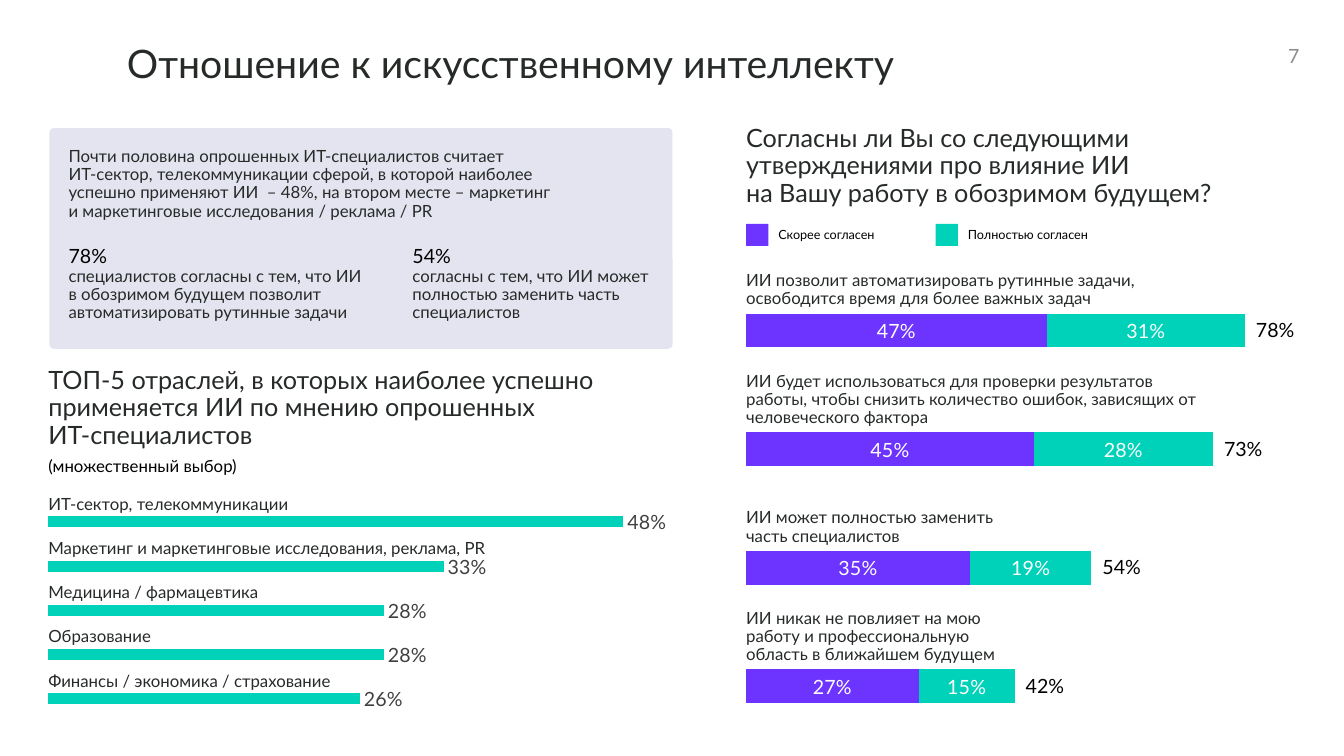
import lxml.etree
import pptx
import pptx.chart.data
import pptx.dml.color
import pptx.enum.chart
import pptx.enum.shapes
import pptx.enum.text
import pptx.oxml
import pptx.oxml.ns
import pptx.util
from dataclasses import dataclass

Inches = pptx.util.Inches
Kind = pptx.enum.chart.XL_CHART_TYPE
Place = pptx.enum.chart.XL_LABEL_POSITION
Form = pptx.enum.shapes.MSO_SHAPE
Align = pptx.enum.text.PP_ALIGN
Anchor = pptx.enum.text.MSO_ANCHOR
qn = pptx.oxml.ns.qn


@dataclass(frozen=True)
class Theme:
    font: str = "Lato"
    ink: str = "262B28"
    black: str = "000000"
    white: str = "FFFFFF"
    gray: str = "8C8C8C"
    dark: str = "404040"
    purple: str = "6D33FF"
    teal: str = "00D2B9"
    panel: str = "CACAE5"
    title: int = 28
    head: int = 18
    value: int = 14
    body: int = 12
    key: int = 9


def put(item, **values):
    for name, value in values.items():
        setattr(item, name, value)


def color(code):
    return pptx.dml.color.RGBColor.from_string(code)


class Page:
    def __init__(self, slide, theme):
        self.slide = slide
        self.theme = theme

    def style(self, font, size, code):
        put(font, name=self.theme.font, size=pptx.util.Pt(size))
        font.color.rgb = color(code)

    def text(self, words, box, size=None, code=None, align=Align.LEFT,
             anchor=Anchor.TOP, space=0.9):
        frame = self.slide.shapes.add_textbox(*map(Inches, box)).text_frame
        put(frame, word_wrap=True, vertical_anchor=anchor, margin_left=0,
            margin_right=0, margin_top=0, margin_bottom=0)
        para = frame.paragraphs[0]
        put(para, text=words, alignment=align, line_spacing=space)
        for run in para.runs:
            self.style(run.font, size or self.theme.body, code or self.theme.ink)

    def block(self, form, box, code, alpha=None, round=None):
        """Add a filled shape; alpha is its opacity in percent."""
        shape = self.slide.shapes.add_shape(form, *map(Inches, box))
        shape.shadow.inherit = False
        shape.fill.solid()
        shape.fill.fore_color.rgb = color(code)
        shape.line.fill.background()
        if round:
            shape.adjustments[0] = round
        if alpha:
            tint = shape.fill._xPr.find(".//" + qn("a:srgbClr"))
            lxml.etree.SubElement(tint, qn("a:alpha")).set("val", str(alpha * 1000))

    def bars(self, kind, box, rows, codes, top, gap, place, label):
        """Add a bar chart without axes; rows run from the top down."""
        data = pptx.chart.data.CategoryChartData(number_format="0%")
        data.categories = [str(n + 1) for n in range(len(rows))]
        for n, column in enumerate(zip(*reversed(rows))):
            data.add_series(f"Series {n + 1}", column)
        chart = self.slide.shapes.add_chart(kind, *map(Inches, box), data).chart
        put(chart, has_title=False, has_legend=False)
        self.style(chart.font, self.theme.value, label)
        put(chart.category_axis, visible=False, has_major_gridlines=False)
        put(chart.value_axis, visible=False, has_major_gridlines=False,
            minimum_scale=0, maximum_scale=top)
        plot = chart.plots[0]
        put(plot, gap_width=gap, vary_by_categories=False)
        for series, code in zip(plot.series, codes):
            series.format.fill.solid()
            series.format.fill.fore_color.rgb = color(code)
            marks = series.data_labels
            put(marks, show_value=True, position=place, number_format="0%",
                number_format_is_linked=False)
            self.style(marks.font, self.theme.value, label)
        self.fill_frame(chart)

    def fill_frame(self, chart):
        """Stretch the plot over the whole chart frame."""
        area = chart._chartSpace.find(".//" + qn("c:plotArea"))
        for old in area.findall(qn("c:layout")):
            area.remove(old)
        parts = [("layoutTarget", "inner"), ("xMode", "edge"), ("yMode", "edge"),
                 ("x", 0), ("y", 0), ("w", 1), ("h", 1)]
        layout = lxml.etree.Element(qn("c:layout"))
        manual = lxml.etree.SubElement(layout, qn("c:manualLayout"))
        for name, value in parts:
            lxml.etree.SubElement(manual, qn("c:" + name)).set("val", str(value))
        area.insert(0, layout)


def draw_facts(page, theme):
    page.block(Form.ROUNDED_RECTANGLE, (0.49, 1.27, 6.18, 2.19), theme.panel, 50, 0.02)
    page.text("Почти половина опрошенных ИТ-специалистов считает \n"
              "ИТ-сектор, телекоммуникации сферой, в которой наиболее \n"
              "успешно применяют ИИ  – 48%, на втором месте – маркетинг \n"
              "и маркетинговые исследования / реклама / PR", (0.68, 1.47, 5.74, 0.72))
    facts = [
        (0.68, 3.03, "78%", "специалистов согласны с тем, что ИИ в обозримом будущем "
                            "позволит автоматизировать рутинные задачи"),
        (4.09, 2.45, "54%", "согласны с тем, что ИИ может полностью заменить часть "
                            "специалистов"),
    ]
    for left, width, share, words in facts:
        page.text(share, (left, 2.45, 0.58, 0.21), theme.value, theme.black)
        page.text(words, (left, 2.66, width, 0.54))


def draw_fields(page, theme):
    page.text("ТОП-5 отраслей, в которых наиболее успешно применяется ИИ "
              "по мнению опрошенных \nИТ-специалистов", (0.48, 3.65, 6.31, 0.81), theme.head)
    page.text("(множественный выбор)", (0.48, 4.54, 2.86, 0.18), code=theme.black)
    fields = [
        ("ИТ-сектор, телекоммуникации", 0.48),
        ("Маркетинг и маркетинговые исследования, реклама, PR", 0.33),
        ("Медицина / фармацевтика", 0.28),
        ("Образование", 0.28),
        ("Финансы / экономика / страхование", 0.26),
    ]
    left, top, width, height = box = (0.48, 4.96, 7.13, 2.19)
    page.bars(Kind.BAR_CLUSTERED, box, [(share,) for _, share in fields],
              [theme.teal], 0.6, 300, Place.OUTSIDE_END, theme.dark)
    step = height / len(fields)
    for n, (name, _) in enumerate(fields):
        page.text(name, (left, top - 0.04 + n * step, 4.74, 0.18))


def draw_views(page, theme):
    left, top, width, height = box = (7.4, 2.69, 5.71, 4.71)
    page.text("Согласны ли Вы со следующими утверждениями про влияние ИИ \n"
              "на Вашу работу в обозримом будущем?", (left, 1.25, 5.49, 0.81), theme.head)
    codes = [theme.purple, theme.teal]
    for n, name in enumerate(["Скорее согласен", "Полностью согласен"]):
        start = left + n * 1.88
        page.block(Form.RECTANGLE, (start, 2.22, 0.22, 0.22), codes[n])
        page.text(name, (start + 0.32, 2.27, 1.5, 0.14), theme.key, theme.black)

    views = [
        ("ИИ позволит автоматизировать рутинные задачи, освободится время "
         "для более важных задач", 2, 4.4, 0.47, 0.31),
        ("ИИ будет использоваться для проверки результатов работы, чтобы снизить "
         "количество ошибок, зависящих от человеческого фактора", 3, 4.59, 0.45, 0.28),
        ("ИИ может полностью заменить \nчасть специалистов", 2, 4.4, 0.35, 0.19),
        ("ИИ никак не повлияет на мою \nработу и профессиональную \n"
         "область в ближайшем будущем", 3, 4.49, 0.27, 0.15),
    ]
    most = 0.9
    page.bars(Kind.BAR_STACKED, box, [view[3:] for view in views], codes,
              most, 250, Place.CENTER, theme.white)
    step = height / len(views)
    for n, (words, lines, wide, rather, fully) in enumerate(views):
        mid = top + (n + 0.5) * step
        tall = lines * 0.18
        page.text(words, (left, mid - 0.22 - tall, wide, tall))
        total = rather + fully
        end = left + width * total / most
        page.text(f"{total:.0%}", (end + 0.08, mid - 0.1, 0.44, 0.21),
                  theme.value, theme.black, Align.CENTER)


def main():
    deck = pptx.Presentation()
    put(deck, slide_width=Inches(13.33), slide_height=Inches(7.5))
    theme = Theme()
    page = Page(deck.slides.add_slide(deck.slide_layouts[6]), theme)
    page.text("Отношение к искусственному интеллекту", (1.26, 0.44, 8.67, 0.42), theme.title)
    page.text("7", (12.33, 0.42, 0.56, 0.27), theme.value, theme.gray,
              Align.RIGHT, Anchor.MIDDLE, 1.0)
    draw_facts(page, theme)
    draw_fields(page, theme)
    draw_views(page, theme)
    deck.save("out.pptx")


if __name__ == "__main__":
    main()
